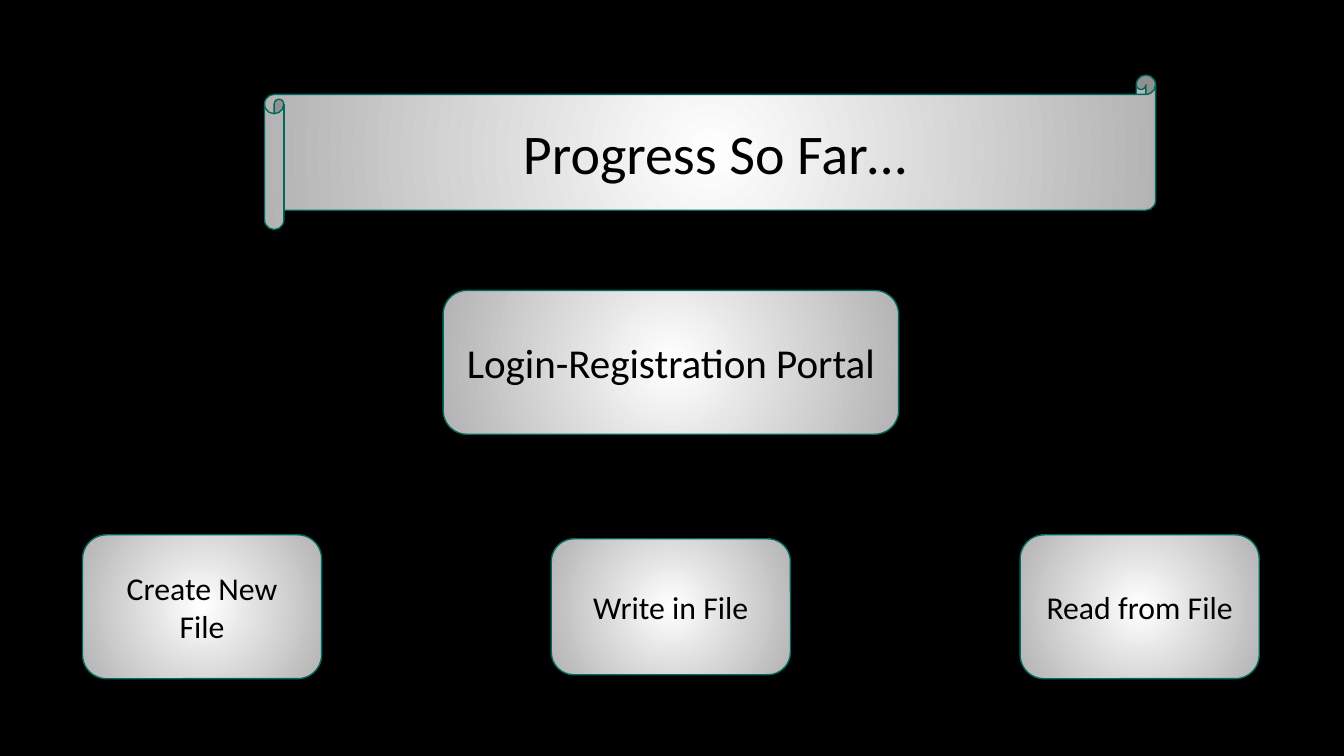
from lxml import etree
from pptx import Presentation
from pptx.dml.color import RGBColor
from pptx.enum.shapes import MSO_SHAPE
from pptx.enum.text import MSO_ANCHOR, PP_ALIGN
from pptx.oxml.ns import qn
from pptx.util import Cm, Pt

SCROLL = MSO_SHAPE.HORIZONTAL_SCROLL
ROUNDED = MSO_SHAPE.ROUNDED_RECTANGLE
MIDDLE = MSO_ANCHOR.MIDDLE
CENTER = PP_ALIGN.CENTER

# Content; lengths in cm
FONT = "Calibri"
BLACK, WHITE, GREY, TEAL = "000000", "FFFFFF", "B3B3B3", "00695C"
INSET = 0.25
TITLE = "Progress So Far…"
PORTAL = "Login-Registration Portal"
FILE_ACTIONS = [("Create New File", 2.72), ("Write in File", 2.57), ("Read from File", 2.72)]
MIDDLE_X = 12.68
ACTION_Y, ACTION_WIDTH, ACTION_STEP = 11.47, 4.52, 8.86


def color(hex_code):
    return RGBColor.from_string(hex_code)


def fill_radial(shape, inner, outer):
    shape.fill.gradient()
    for stop, hex_code in zip(shape.fill.gradient_stops, (inner, outer)):
        stop.color.rgb = color(hex_code)
    gradient = shape._element.spPr.find(qn("a:gradFill"))
    gradient.remove(gradient.find(qn("a:lin")))
    circle = etree.SubElement(gradient, qn("a:path"), {"path": "circle"})
    etree.SubElement(circle, qn("a:fillToRect"), dict.fromkeys("ltrb", "50000"))


def add_box(page, kind, text, center_x, center_y, width, height, size):
    box = page.shapes.add_shape(kind, Cm(center_x - width / 2), Cm(center_y - height / 2),
                                Cm(width), Cm(height))
    box.shadow.inherit = False
    fill_radial(box, WHITE, GREY)
    box.line.color.rgb = color(TEAL)
    box.line.width = Pt(0.75)
    frame = box.text_frame
    frame.text = text
    frame.word_wrap = True
    frame.vertical_anchor = MIDDLE
    frame.margin_left = frame.margin_right = Cm(INSET)
    frame.margin_top = frame.margin_bottom = Cm(INSET)
    para = frame.paragraphs[0]
    para.alignment = CENTER
    span = para.runs[0]
    span.font.name = FONT
    span.font.size = Pt(size)
    span.font.color.rgb = color(BLACK)


# Page
deck = Presentation()
deck.slide_width, deck.slide_height = Cm(25.4), Cm(14.29)
page = deck.slides.add_slide(deck.slide_layouts[6])
page.background.fill.solid()
page.background.fill.fore_color.rgb = color(BLACK)

# Title scroll and portal
add_box(page, SCROLL, TITLE, 13.42, 2.88, 16.84, 2.92, 30)
add_box(page, ROUNDED, PORTAL, MIDDLE_X, 6.85, 8.61, 2.72, 22)

# Row of file actions, evenly spaced around the middle
for index, (label, height) in enumerate(FILE_ACTIONS):
    center_x = MIDDLE_X + (index - 1) * ACTION_STEP
    add_box(page, ROUNDED, label, center_x, ACTION_Y, ACTION_WIDTH, height, 17)

deck.save("out.pptx")
